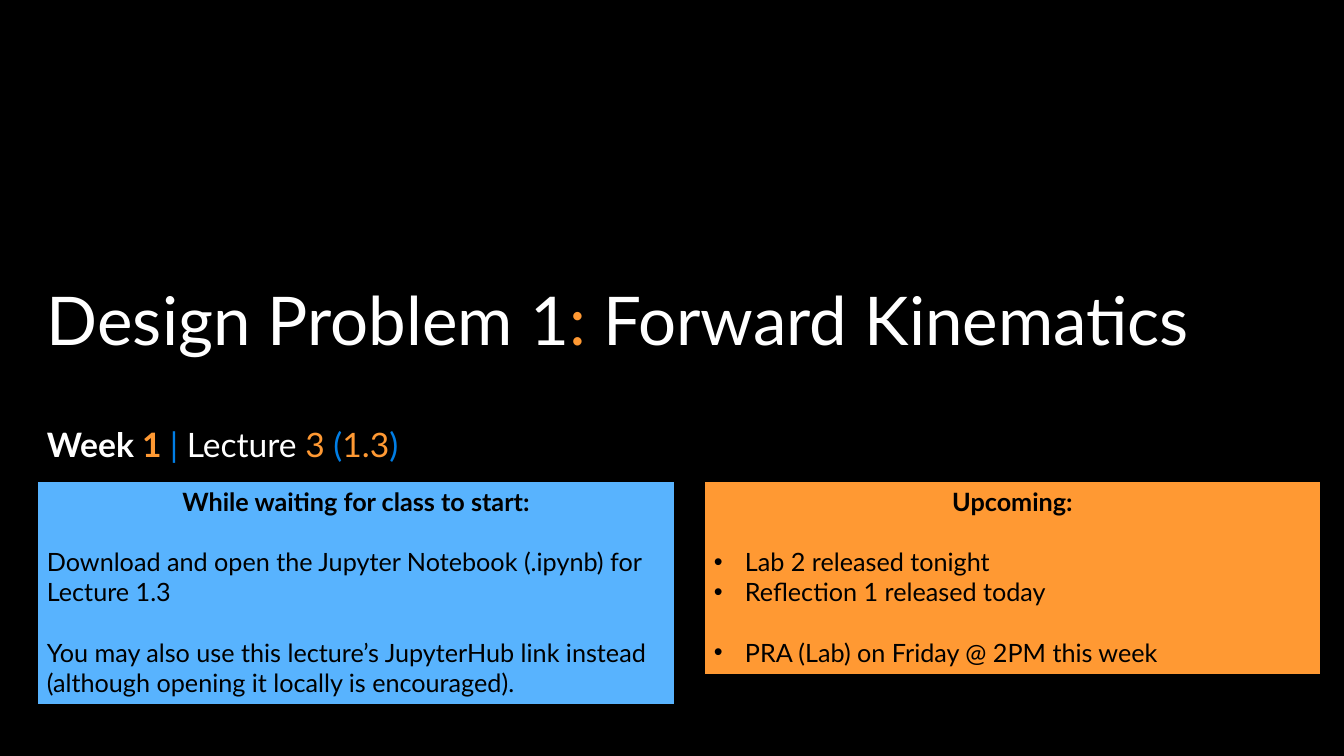
import pptx
import pptx.dml.color
import pptx.enum.shapes
import pptx.enum.text
import pptx.oxml
import pptx.oxml.ns
import pptx.util
from lxml import etree

RGB = pptx.dml.color.RGBColor
BLACK = RGB(0x00, 0x00, 0x00)
WHITE = RGB(0xFF, 0xFF, 0xFF)
ORANGE = RGB(0xFF, 0x99, 0x33)
BLUE = RGB(0x01, 0x7E, 0xE5)
SKY = RGB(0x58, 0xB3, 0xFE)
FONT = "Lato"

# Runs: (text, colour, bold)
TITLE = [("Design Problem 1", WHITE, False), (":", ORANGE, False),
         (" Forward Kinematics", WHITE, False)]
LECTURE = [("Week ", WHITE, True), ("1 ", ORANGE, True), ("|", BLUE, False),
           (" Lecture ", WHITE, False), ("3 ", ORANGE, False), ("(", BLUE, False),
           ("1.3", ORANGE, False), (")", BLUE, False)]

# Headings: (runs, top px, height px, size pt, anchor)
ANCHOR = pptx.enum.text.MSO_ANCHOR
HEADINGS = [(TITLE, 266, 99, 48, ANCHOR.BOTTOM),
            (LECTURE, 424, 182, 24, ANCHOR.TOP)]

# Panels: groups of lines are set apart by one line of space
PANELS = [
    dict(heading="Upcoming:", fill=ORANGE, left=704, width=617, height=194, bulleted=True,
         groups=[["Lab 2 released tonight", "Reflection 1 released today"],
                 ["PRA (Lab) on Friday @ 2PM this week"]]),
    dict(heading="While waiting for class to start:", fill=SKY, left=37, width=638,
         height=224, bulleted=False,
         groups=[["Download and open the Jupyter Notebook (.ipynb) for Lecture 1.3"],
                 ["You may also use this lecture’s JupyterHub link instead "
                  "(although opening it locally is encouraged)."]]),
]

SLIDE_W, SLIDE_H = 1344, 756
MARGIN, HEADING_W = 37, 1256
PANEL_TOP = 481
PANEL_SIZE = 18
LINE_GAP = 21.6
BULLET_INDENT = 31


def px(length):
    return pptx.util.Emu(round(length * 914400 / 100.8))


def add_run(paragraph, text, size, color, bold):
    run = paragraph.add_run()
    run.text = text
    run.font.name = FONT
    run.font.size = pptx.util.Pt(size)
    run.font.bold = bold
    run.font.color.rgb = color


def add_bullet(paragraph):
    properties = paragraph._p.get_or_add_pPr()
    properties.set("marL", str(px(BULLET_INDENT)))
    properties.set("indent", str(-px(BULLET_INDENT)))
    for tag, name, value in [("a:buFont", "typeface", "Arial"), ("a:buChar", "char", "•")]:
        etree.SubElement(properties, pptx.oxml.ns.qn(tag)).set(name, value)


def add_heading(slide, runs, top, height, size, anchor):
    box = slide.shapes.add_textbox(px(MARGIN), px(top), px(HEADING_W), px(height))
    frame = box.text_frame
    frame.word_wrap = True
    frame.vertical_anchor = anchor
    paragraph = frame.paragraphs[0]
    paragraph.line_spacing = 0.9
    for text, color, bold in runs:
        add_run(paragraph, text, size, color, bold)


def add_panel(slide, heading, fill, left, width, height, bulleted, groups):
    panel = slide.shapes.add_shape(pptx.enum.shapes.MSO_SHAPE.RECTANGLE, px(left),
                                   px(PANEL_TOP), px(width), px(height))
    panel.shadow.inherit = False
    panel.fill.solid()
    panel.fill.fore_color.rgb = fill
    panel.line.color.rgb = BLACK
    panel.line.width = pptx.util.Pt(1.5)
    frame = panel.text_frame
    frame.word_wrap = True
    frame.vertical_anchor = ANCHOR.TOP
    title = frame.paragraphs[0]
    title.alignment = pptx.enum.text.PP_ALIGN.CENTER
    add_run(title, heading, PANEL_SIZE, BLACK, True)
    for group in groups:
        for index, line in enumerate(group):
            paragraph = frame.add_paragraph()
            paragraph.alignment = pptx.enum.text.PP_ALIGN.LEFT
            if index == 0:
                paragraph.space_before = pptx.util.Pt(LINE_GAP)
            if bulleted:
                add_bullet(paragraph)
            add_run(paragraph, line, PANEL_SIZE, BLACK, False)


def main():
    deck = pptx.Presentation()
    deck.slide_width, deck.slide_height = px(SLIDE_W), px(SLIDE_H)
    slide = deck.slides.add_slide(deck.slide_layouts[6])
    slide.background.fill.solid()
    slide.background.fill.fore_color.rgb = BLACK
    for heading in HEADINGS:
        add_heading(slide, *heading)
    for panel in PANELS:
        add_panel(slide, **panel)
    deck.save("out.pptx")


if __name__ == "__main__":
    main()
